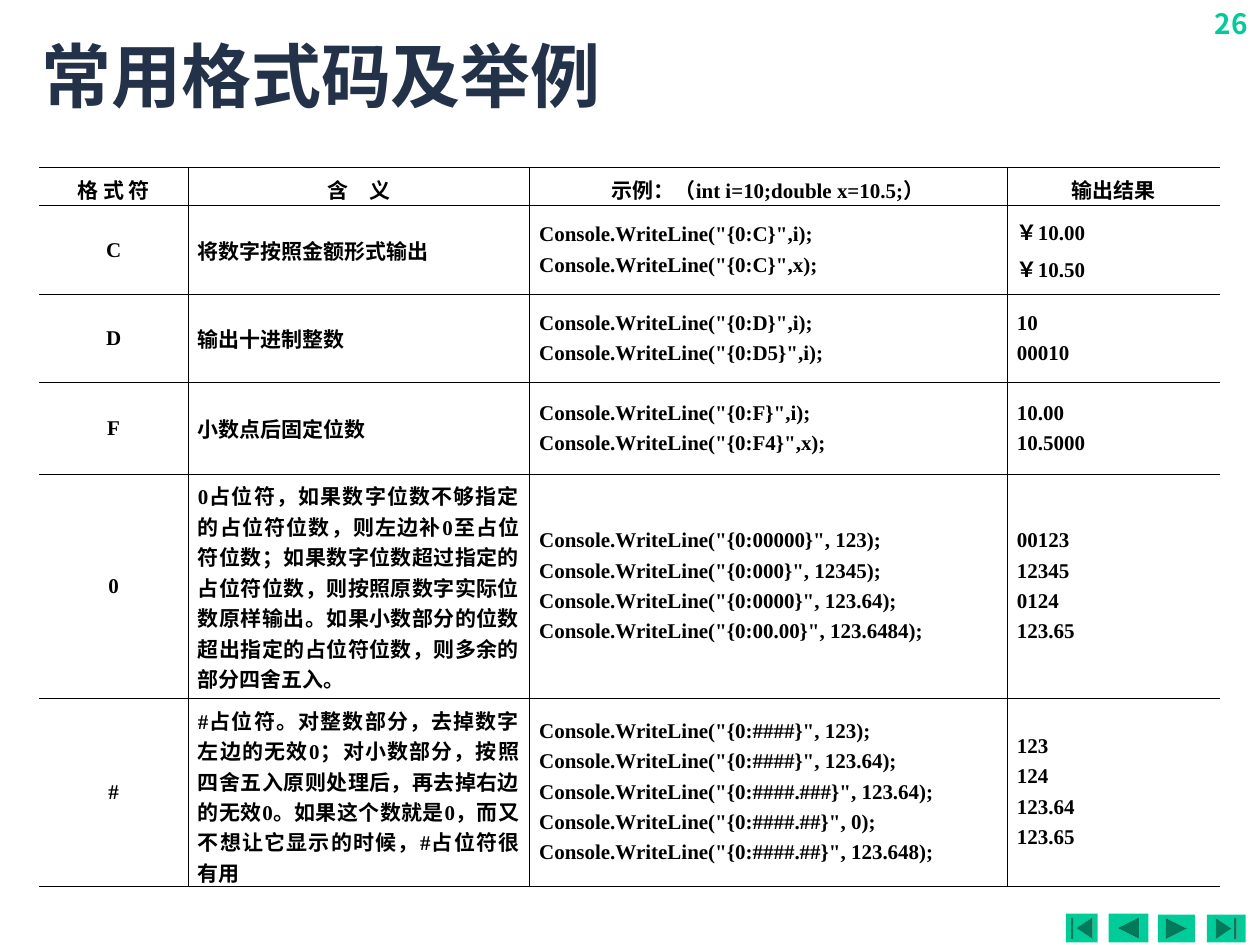
from dataclasses import dataclass

from lxml import etree
from pptx import Presentation
from pptx.dml.color import RGBColor
from pptx.enum.shapes import MSO_SHAPE
from pptx.enum.text import MSO_ANCHOR, MSO_AUTO_SIZE, PP_ALIGN
from pptx.oxml.ns import qn
from pptx.util import Cm, Pt

LEFT, CENTER, RIGHT, JUSTIFY = (
    PP_ALIGN.LEFT, PP_ALIGN.CENTER, PP_ALIGN.RIGHT, PP_ALIGN.JUSTIFY)
TOP, MIDDLE = MSO_ANCHOR.TOP, MSO_ANCHOR.MIDDLE
NO_AUTOFIT = MSO_AUTO_SIZE.NONE
FIRST, BACK = MSO_SHAPE.ACTION_BUTTON_BEGINNING, MSO_SHAPE.ACTION_BUTTON_BACK_OR_PREVIOUS
NEXT, LAST = MSO_SHAPE.ACTION_BUTTON_FORWARD_OR_NEXT, MSO_SHAPE.ACTION_BUTTON_END

COLORS = {"title": "233249", "accent": "00CC99", "text": "000000", "rule": "000000"}
CJK_FONT = "Noto Sans CJK SC"
RULE_WIDTH = Pt(0.45)


@dataclass(frozen=True)
class TextStyle:
    font: str
    east_asian: str
    size: float
    color: str


@dataclass(frozen=True)
class NavButton:
    preset: int
    left: float
    top: float
    width: float
    height: float


@dataclass(frozen=True)
class FormatCode:
    code: str
    meaning: str
    examples: tuple[str, ...]
    results: tuple[str, ...]
    height: float


TITLE_STYLE = TextStyle(CJK_FONT, CJK_FONT, 40, "title")
NUMBER_STYLE = TextStyle("Noto Sans CJK KR", "Noto Sans CJK KR", 16, "accent")
TABLE_STYLE = TextStyle("Times New Roman", CJK_FONT, 12, "text")

NAV_BUTTONS = [
    NavButton(FIRST, 21.49, 18.42, 0.64, 0.58),
    NavButton(BACK, 22.35, 18.42, 0.8, 0.58),
    NavButton(NEXT, 23.34, 18.44, 0.75, 0.56),
    NavButton(LAST, 24.33, 18.44, 0.78, 0.56),
]

COLUMN_WIDTHS = [3.0, 6.88, 9.63, 4.29]
HEADER_HEIGHT = 0.56
HEADERS = ["格 式 符", "含　义", "示例：（int i=10;double x=10.5;）", "输出结果"]
FORMAT_CODES = [
    FormatCode("C", "将数字按照金额形式输出",
               ('"{0:C}",i', '"{0:C}",x'), ("￥10.00", "￥10.50"), 1.78),
    FormatCode("D", "输出十进制整数",
               ('"{0:D}",i', '"{0:D5}",i'), ("10", "00010"), 1.78),
    FormatCode("F", "小数点后固定位数",
               ('"{0:F}",i', '"{0:F4}",x'), ("10.00", "10.5000"), 1.85),
    FormatCode("0", "0占位符，如果数字位数不够指定的占位符位数，则左边补0至占位符位数；"
               "如果数字位数超过指定的占位符位数，则按照原数字实际位数原样输出。"
               "如果小数部分的位数超出指定的占位符位数，则多余的部分四舍五入。",
               ('"{0:00000}", 123', '"{0:000}", 12345',
                '"{0:0000}", 123.64', '"{0:00.00}", 123.6484'),
               ("00123", "12345", "0124", "123.65"), 4.52),
    FormatCode("#", "#占位符。对整数部分，去掉数字左边的无效0；对小数部分，"
               "按照四舍五入原则处理后，再去掉右边的无效0。如果这个数就是0，"
               "而又不想让它显示的时候，#占位符很有用",
               ('"{0:####}", 123', '"{0:####}", 123.64', '"{0:####.###}", 123.64',
                '"{0:####.##}", 0', '"{0:####.##}", 123.648'),
               ("123", "124", "123.64", "123.65"), 3.78),
]


def apply_format(target, values: dict) -> None:
    for name, value in values.items():
        setattr(target, name, value)


def write_lines(frame, lines, style: TextStyle, align, spacing: float = 0) -> None:
    for index, line in enumerate(lines):
        paragraph = frame.paragraphs[0] if index == 0 else frame.add_paragraph()
        apply_format(paragraph, {"alignment": align, "space_before": Pt(spacing),
                                 "space_after": Pt(spacing)})
        run = paragraph.add_run()
        run.text = line
        apply_format(run.font, {"name": style.font, "size": Pt(style.size), "bold": True})
        run.font.color.rgb = RGBColor.from_string(COLORS[style.color])
        east_asian = etree.Element(qn("a:ea"), typeface=style.east_asian)
        run.font._element.find(qn("a:latin")).addnext(east_asian)


def rule_cell(cell, ruled_sides: str) -> None:
    properties = cell._tc.get_or_add_tcPr()
    for index, side in enumerate("LRTB"):
        line = etree.Element(qn(f"a:ln{side}"), w=str(RULE_WIDTH))
        if side in ruled_sides:
            fill = etree.SubElement(line, qn("a:solidFill"))
            etree.SubElement(fill, qn("a:srgbClr"), val=COLORS["rule"])
        else:
            etree.SubElement(line, qn("a:noFill"))
        properties.insert(index, line)


def fill_cell(cell, lines, align, anchor, spacing: float, ruled_sides: str) -> None:
    apply_format(cell, {"margin_left": Cm(0.2), "margin_right": Cm(0.2),
                        "margin_top": Cm(0.13), "margin_bottom": Cm(0.13),
                        "vertical_anchor": anchor})
    cell.fill.background()
    write_lines(cell.text_frame, lines, TABLE_STYLE, align, spacing)
    rule_cell(cell, ruled_sides)


def add_format_table(slide) -> None:
    heights = [HEADER_HEIGHT] + [entry.height for entry in FORMAT_CODES]
    table = slide.shapes.add_table(
        len(heights), len(COLUMN_WIDTHS), Cm(0.79), Cm(3.38),
        Cm(sum(COLUMN_WIDTHS)), Cm(sum(heights))).table
    apply_format(table, {"first_row": False, "horz_banding": False})
    for column, width in zip(table.columns, COLUMN_WIDTHS):
        column.width = Cm(width)
    for row, height in zip(table.rows, heights):
        row.height = Cm(height)

    # Outer left and right edges stay open
    sides = ["RTB", "LRTB", "LRTB", "LTB"]
    for column, header in enumerate(HEADERS):
        fill_cell(table.cell(0, column), [header], CENTER, TOP, 2.2, sides[column])
    for row, entry in enumerate(FORMAT_CODES, start=1):
        calls = [f"Console.WriteLine({arguments});" for arguments in entry.examples]
        contents = [[entry.code], [entry.meaning], calls, entry.results]
        for column, lines in enumerate(contents):
            align = CENTER if column == 0 else JUSTIFY
            fill_cell(table.cell(row, column), lines, align, MIDDLE, 2, sides[column])


def add_nav_button(slide, button: NavButton) -> None:
    shape = slide.shapes.add_shape(button.preset, Cm(button.left), Cm(button.top),
                                   Cm(button.width), Cm(button.height))
    shape.shadow.inherit = False
    shape.fill.solid()
    shape.fill.fore_color.rgb = RGBColor.from_string(COLORS["accent"])
    shape.line.fill.background()


def main() -> None:
    presentation = Presentation()
    apply_format(presentation, {"slide_width": Cm(25.4), "slide_height": Cm(19.05)})
    slide = presentation.slides.add_slide(presentation.slide_layouts.get_by_name("Title Only"))

    # Page number
    page_number = slide.shapes.add_textbox(Cm(23.75), Cm(0), Cm(1.65), Cm(1.02))
    page_number.text_frame.word_wrap = True
    write_lines(page_number.text_frame, ["26"], NUMBER_STYLE, RIGHT)

    # Navigation buttons
    for button in NAV_BUTTONS:
        add_nav_button(slide, button)

    # Title
    title = slide.shapes.title
    apply_format(title, {"left": Cm(0.58), "top": Cm(0.41),
                         "width": Cm(23.5), "height": Cm(2.18)})
    apply_format(title.text_frame, {"vertical_anchor": MIDDLE, "auto_size": NO_AUTOFIT})
    write_lines(title.text_frame, ["常用格式码及举例"], TITLE_STYLE, LEFT)

    # Format code table
    add_format_table(slide)
    presentation.save("out.pptx")


if __name__ == "__main__":
    main()
